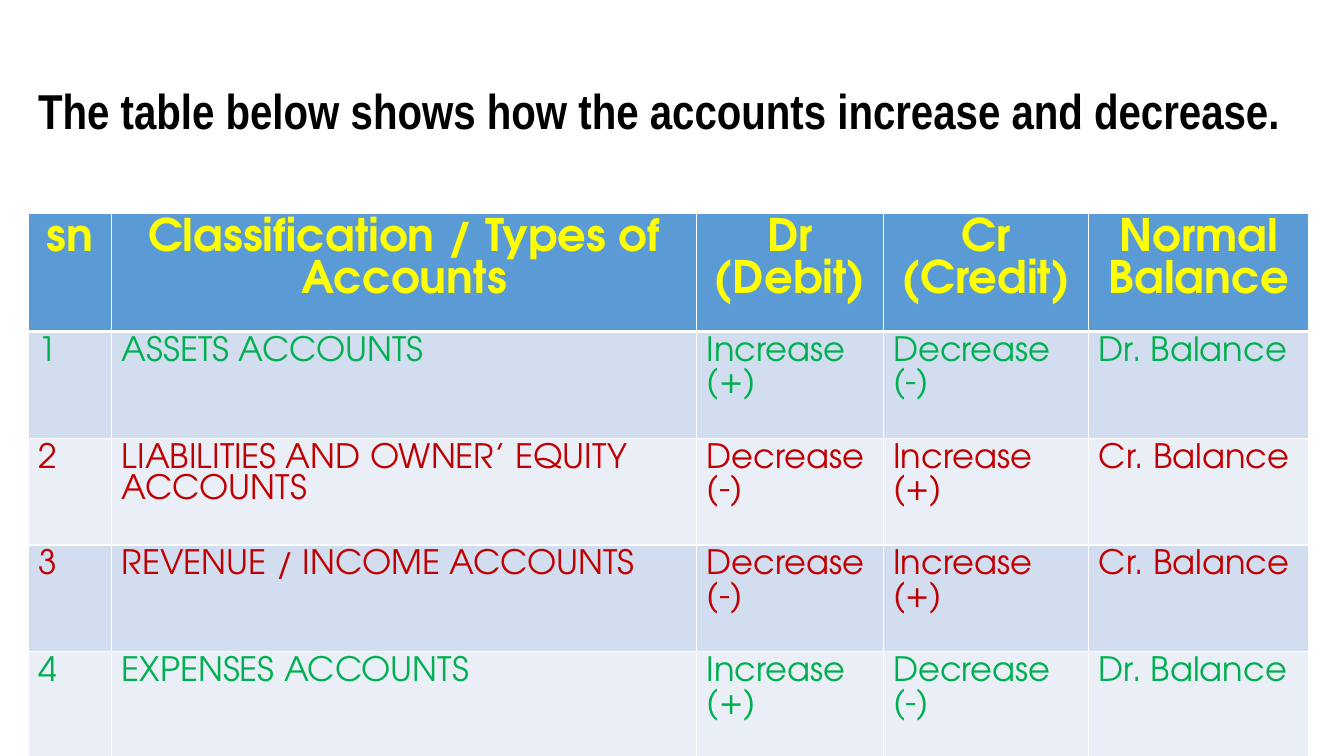
from lxml import etree
from pptx import Presentation
from pptx.dml.color import RGBColor as RGB
from pptx.enum.text import MSO_ANCHOR as ANCHOR, PP_ALIGN as ALIGN
from pptx.oxml.ns import qn
from pptx.util import Inches, Pt

TITLE = "The table below shows how the accounts increase and decrease."
HEADER = ("sn", "Classification / Types of Accounts", "Dr (Debit)",
          "Cr (Credit)", "Normal Balance")
ACCOUNTS = [
    ("1", "ASSETS ACCOUNTS", "Increase (+)", "Decrease (-)", "Dr. Balance"),
    ("2", "LIABILITIES AND OWNER’ EQUITY ACCOUNTS", "Decrease (-)", "Increase (+)", "Cr. Balance"),
    ("3", "REVENUE / INCOME ACCOUNTS", "Decrease(-)", "Increase (+)", "Cr. Balance"),
    ("4", "EXPENSES ACCOUNTS", "Increase (+)", "Decrease (-)", "Dr. Balance"),
]
COL_WIDTHS = (0.83, 5.8, 1.85, 2.04, 2.18)
HEADER_HEIGHT, ROW_HEIGHT = 1.04, 1.06
LEFT, TABLE_TOP = 0.28, 2.12

TABLE_FONT = "TeX Gyre Adventor"
THEME = {
    "title": {"name": "Arial Narrow", "size": Pt(35), "bold": True, "color": "000000"},
    "header": {"name": TABLE_FONT, "size": Pt(32), "bold": True, "color": "FFFF00"},
    "Dr": {"name": TABLE_FONT, "size": Pt(24), "bold": False, "color": "00B050"},
    "Cr": {"name": TABLE_FONT, "size": Pt(24), "bold": False, "color": "C00000"},
    "header_fill": "5B9BD5",
    "bands": ("D2DEEF", "EAEFF7"),
    "border": "FFFFFF",
}


def write(tf, text, style, align=ALIGN.LEFT):
    p = tf.paragraphs[0]
    p.alignment = align
    r = p.add_run()
    r.text = text
    for key, value in THEME[style].items():
        if key == "color":
            r.font.color.rgb = RGB.from_string(value)
        else:
            setattr(r.font, key, value)
    return p


def add_borders(cell, widths):
    tc_pr = cell._tc.get_or_add_tcPr()
    for i, (side, width) in enumerate(widths.items()):
        ln = etree.Element(qn(f"a:ln{side}"), w=str(Pt(width)))
        fill = etree.SubElement(ln, qn("a:solidFill"))
        etree.SubElement(fill, qn("a:srgbClr"), val=THEME["border"])
        tc_pr.insert(i, ln)


def add_title(s):
    tf = s.shapes.add_textbox(Inches(LEFT), Inches(0.4), Inches(12.88), Inches(1.45)).text_frame
    tf.word_wrap = True
    tf.vertical_anchor = ANCHOR.MIDDLE
    write(tf, TITLE, "title").line_spacing = 0.9


def add_accounts_table(s):
    rows = [HEADER] + ACCOUNTS
    heights = [HEADER_HEIGHT] + [ROW_HEIGHT] * len(ACCOUNTS)
    table = s.shapes.add_table(len(rows), len(HEADER), Inches(LEFT), Inches(TABLE_TOP),
                               Inches(sum(COL_WIDTHS)), Inches(sum(heights))).table
    for col, width in zip(table.columns, COL_WIDTHS):
        col.width = Inches(width)
    for i, (values, height) in enumerate(zip(rows, heights)):
        table.rows[i].height = Inches(height)
        is_header = i == 0
        style = "header" if is_header else values[-1][:2]
        fill = THEME["header_fill"] if is_header else THEME["bands"][(i - 1) % 2]
        borders = {"L": 1, "R": 1, "T": 3 if i == 1 else 1, "B": 3 if is_header else 1}
        for j, value in enumerate(values):
            cell = table.cell(i, j)
            cell.fill.solid()
            cell.fill.fore_color.rgb = RGB.from_string(fill)
            add_borders(cell, borders)
            write(cell.text_frame, value, style, ALIGN.CENTER if is_header else ALIGN.LEFT)


def main():
    prs = Presentation()
    prs.slide_width, prs.slide_height = Inches(13.33), Inches(7.5)
    s = prs.slides.add_slide(prs.slide_layouts[6])
    add_title(s)
    add_accounts_table(s)
    prs.save("out.pptx")


if __name__ == "__main__":
    main()
